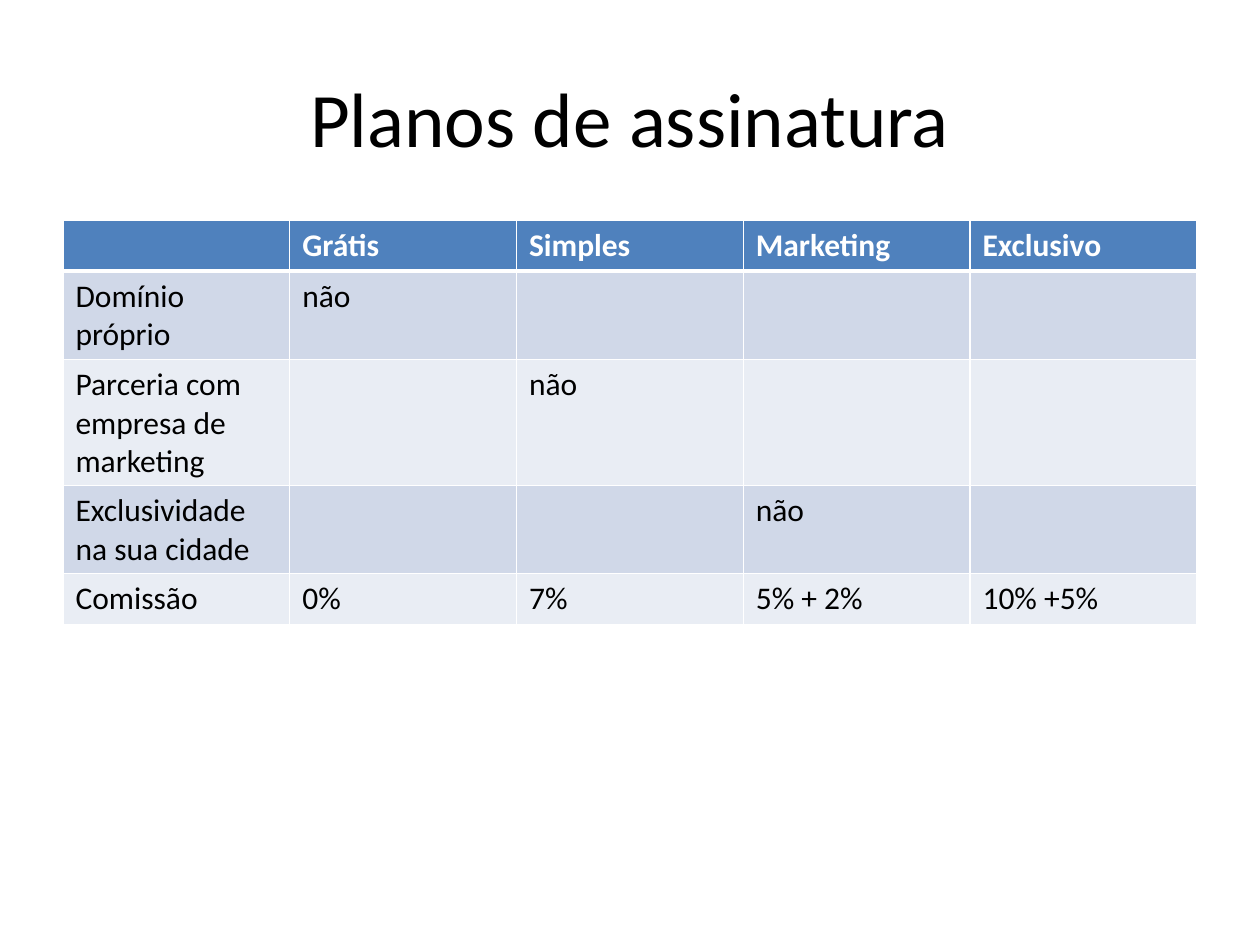
from lxml.etree import SubElement
from pptx import Presentation
from pptx.dml.color import RGBColor
from pptx.enum.text import MSO_ANCHOR, PP_ALIGN
from pptx.oxml.ns import qn
from pptx.util import Pt

PIXEL = 914400 // 126
FONT = "Calibri"
WHITE, BLACK = "FFFFFF", "000000"
HEADER_FILL = "4F81BD"
BAND_FILLS = ("D0D8E8", "E9EDF4")
PLANS = [
    ["", "Grátis", "Simples", "Marketing", "Exclusivo"],
    ["Domínio próprio", "não", "", "", ""],
    ["Parceria com empresa de marketing", "", "não", "", ""],
    ["Exclusividade na sua cidade", "", "", "não", ""],
    ["Comissão", "0%", "7%", "5% + 2%", "10% +5%"],
]


def px(*lengths):
    """Turn pixel lengths into EMU."""
    return [length * PIXEL for length in lengths]


def color(value):
    """Return the colour for a hex string."""
    return RGBColor.from_string(value)


def style_text(paragraph, size, value, bold=False):
    """Set the font of a paragraph and of its runs."""
    for font in [paragraph.font] + [run.font for run in paragraph.runs]:
        font.name, font.size, font.bold = FONT, Pt(size), bold
        font.color.rgb = color(value)


def set_borders(cell, widths):
    """Draw white borders; widths in points for left, right, top, bottom."""
    properties = cell._tc.get_or_add_tcPr()
    for index, (side, width) in enumerate(zip("LRTB", widths)):
        line = SubElement(properties, qn(f"a:ln{side}"), w=str(Pt(width)))
        fill = SubElement(line, qn("a:solidFill"))
        SubElement(fill, qn("a:srgbClr"), val=WHITE)
        properties.insert(index, line)


def add_title(slide, box, text):
    """Place the centred slide title in the box."""
    frame = slide.shapes.add_textbox(*px(*box)).text_frame
    frame.word_wrap = True
    frame.vertical_anchor = MSO_ANCHOR.MIDDLE
    frame.text = text
    frame.paragraphs[0].alignment = PP_ALIGN.CENTER
    style_text(frame.paragraphs[0], 44, BLACK)


def add_plan_table(slide, box, row_height, rows):
    """Place the banded table in the box; rows grow with their text."""
    shape = slide.shapes.add_table(len(rows), len(rows[0]), *px(*box))
    table = shape.table
    for row_index, values in enumerate(rows):
        header = row_index == 0
        table.rows[row_index].height = row_height * PIXEL
        for column_index, value in enumerate(values):
            cell = table.cell(row_index, column_index)
            cell.text = value
            cell.fill.solid()
            cell.fill.fore_color.rgb = color(
                HEADER_FILL if header else BAND_FILLS[(row_index - 1) % 2])
            style_text(cell.text_frame.paragraphs[0], 18,
                       WHITE if header else BLACK, header)
            top = 3 if row_index == 1 else 1
            set_borders(cell, (1, 1, top, 3 if header else 1))
    shape.height = box[3] * PIXEL


def build():
    """Build and save the subscription plans slide."""
    presentation = Presentation()
    presentation.slide_width, presentation.slide_height = px(1260, 945)
    slide = presentation.slides.add_slide(presentation.slide_layouts[6])
    add_title(slide, (63, 38, 1134, 157), "Planos de assinatura")
    add_plan_table(slide, (63, 220, 1134, 404), 51, PLANS)
    presentation.save("out.pptx")


build()
